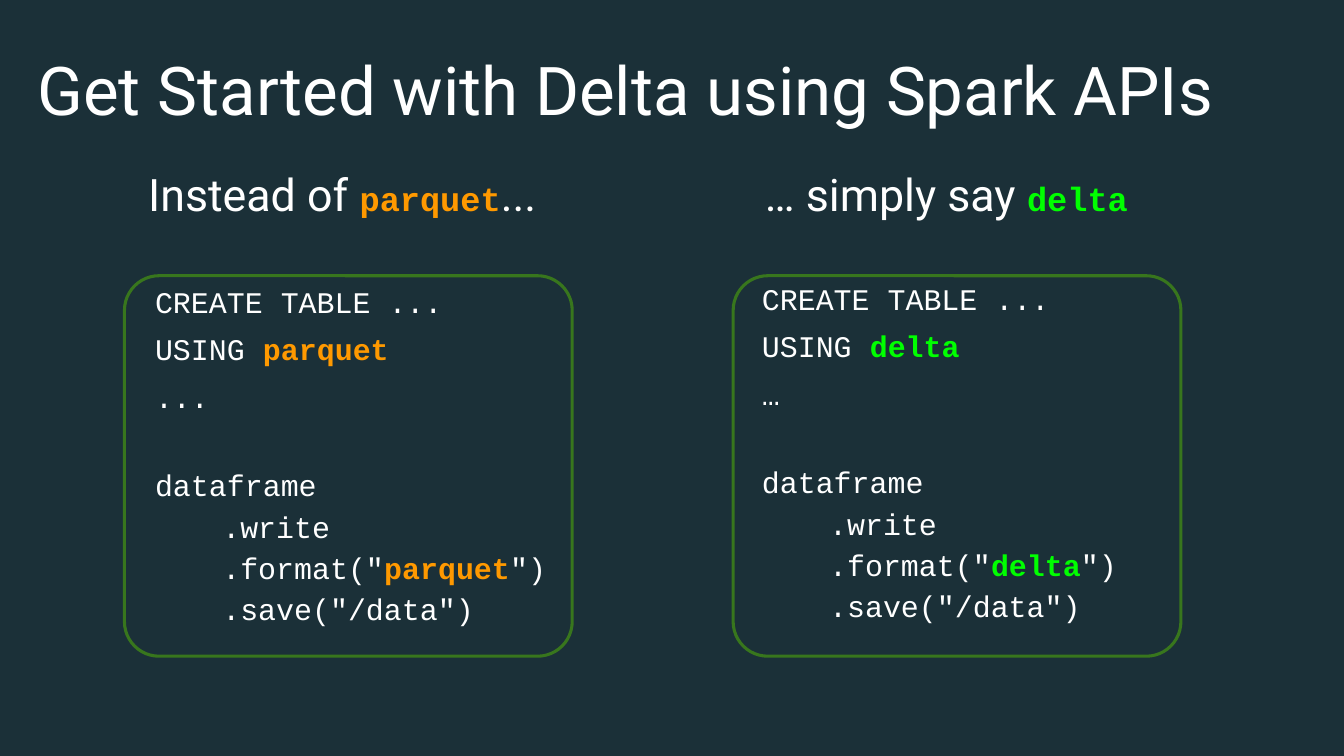
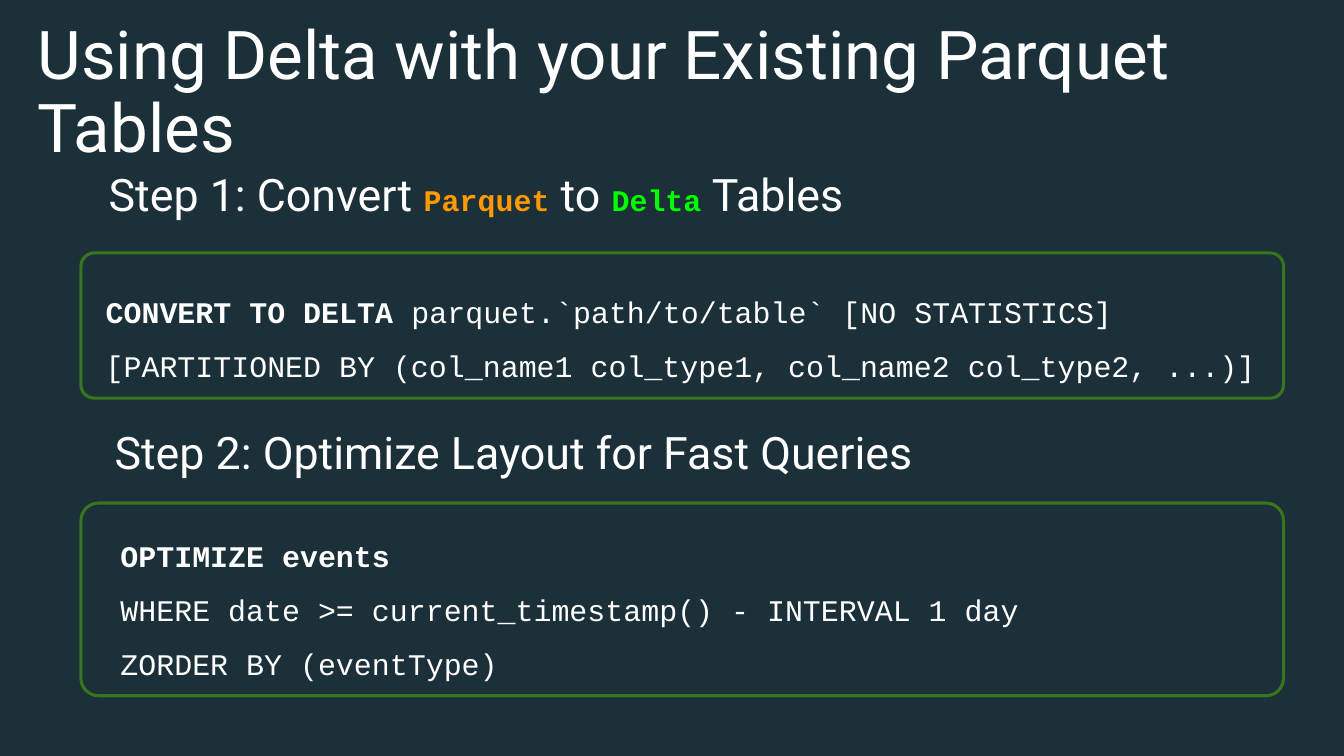
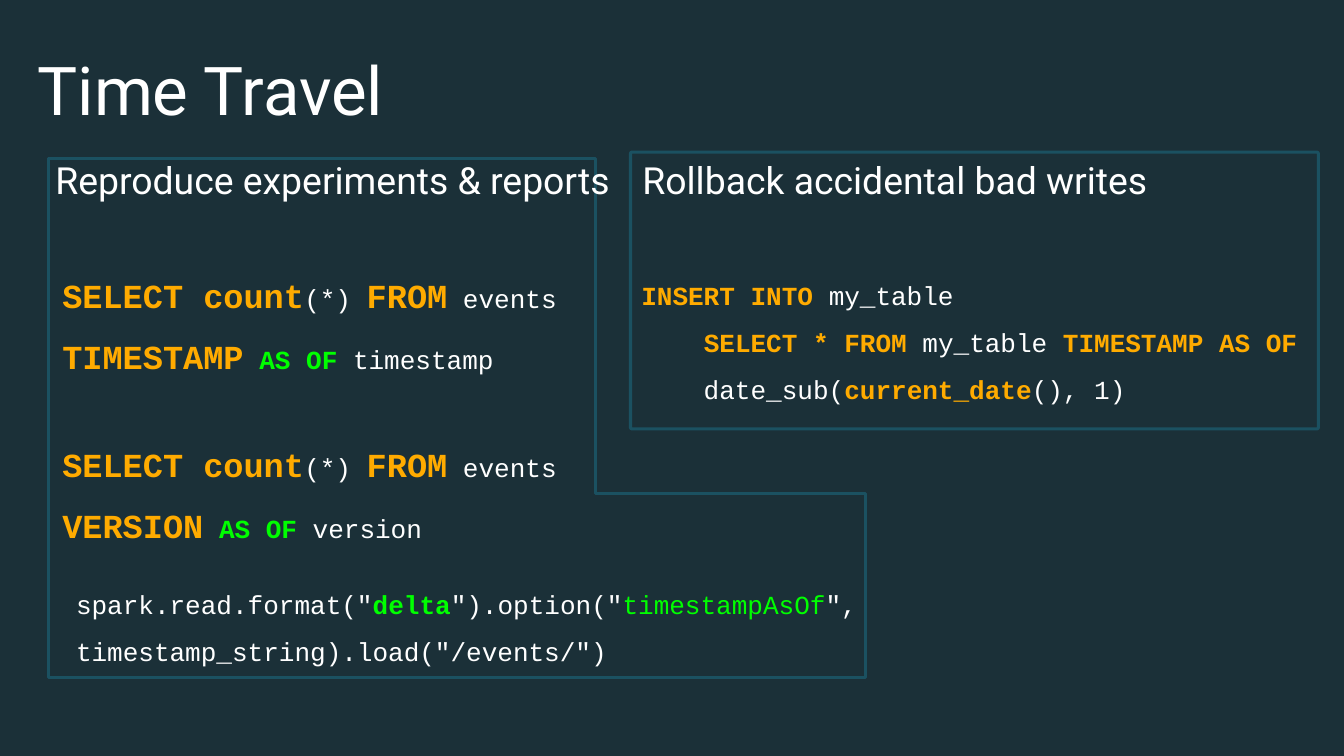
from dataclasses import dataclass

from pptx import Presentation
from pptx.dml.color import RGBColor
from pptx.enum.shapes import MSO_SHAPE
from pptx.enum.text import MSO_ANCHOR
from pptx.util import Pt

ROUND = MSO_SHAPE.ROUNDED_RECTANGLE
CORNER = MSO_SHAPE.CORNER
TOP = MSO_ANCHOR.TOP
MIDDLE = MSO_ANCHOR.MIDDLE


@dataclass(frozen=True)
class Theme:
    """Colours, fonts and type sizes of the deck."""

    back: str = "1B3038"
    white: str = "FFFFFF"
    orange: str = "FF9900"
    amber: str = "FFAB00"
    lime: str = "00FF00"
    green: str = "38761D"
    teal: str = "1B5161"
    sans: str = "Roboto"
    mono: str = "Courier New"
    title: float = 49
    head: float = 32.6
    label: float = 27.2
    big: float = 24.5
    code: float = 21.8
    small: float = 19
    rule: float = 2.25


T = Theme()


def run(text, color=T.white, bold=True, **fmt):
    """Return a run that differs from the base format of its box."""
    return text, dict(color=color, bold=bold, **fmt)


def line(*runs, **fmt):
    """Return one paragraph: its runs and its spacing format."""
    return runs, fmt


def put(slide, box, lines, anchor=TOP, gap=1.0, **base):
    """Place paragraphs in a box without margins."""
    frame = slide.shapes.add_textbox(*map(Pt, box)).text_frame
    frame.word_wrap = True
    frame.vertical_anchor = anchor
    frame.margin_left = frame.margin_right = 0
    frame.margin_top = frame.margin_bottom = 0
    for i, (runs, fmt) in enumerate(lines):
        para = frame.paragraphs[0] if i == 0 else frame.add_paragraph()
        para.line_spacing = fmt.get("gap", gap)
        para.space_before = Pt(fmt.get("before", 0))
        if "indent" in fmt:
            para._p.get_or_add_pPr().set("marL", str(Pt(fmt["indent"])))
        for item in runs:
            text, own = (item, {}) if isinstance(item, str) else item
            style = {"color": T.white, "bold": False, **base, **own}
            part = para.add_run()
            part.text = text
            part.font.name = style["font"]
            part.font.size = Pt(style["size"])
            part.font.bold = style["bold"]
            part.font.color.rgb = RGBColor.from_string(style["color"])


def outline(slide, box, color, kind, adjust):
    """Draw an unfilled frame."""
    shape = slide.shapes.add_shape(kind, *map(Pt, box))
    shape.shadow.inherit = False
    shape.fill.background()
    shape.line.color.rgb = RGBColor.from_string(color)
    shape.line.width = Pt(T.rule)
    for i, value in enumerate(adjust):
        shape.adjustments[i] = value


def panel(slide, box, head, code, shift, inset, size=T.code, gap=1.5,
          label=T.head, tight=1.0, color=T.green, kind=ROUND,
          adjust=(0.091,)):
    """Draw a frame with a heading and code, offset from its corner."""
    x, y, w, h = box
    outline(slide, box, color, kind, adjust)
    put(slide, (x + shift[0], y + shift[1], w, 40), [head], anchor=MIDDLE,
        gap=tight, font=T.sans, size=label)
    put(slide, (x + inset[0], y + inset[1], w, h - inset[1]), code,
        gap=gap, font=T.mono, size=size)


def start(deck, text):
    """Add a slide with its title."""
    slide = deck.slides.add_slide(deck.slide_layouts[6])
    put(slide, (27.4, 22.3, 925, 92.2), [line(text)], anchor=MIDDLE,
        gap=0.9, font=T.sans, size=T.title)
    return slide


def column(slide, x, head, word, dots, **place):
    """Show how a table and a dataframe use one format."""
    code = [
        line("CREATE TABLE ..."),
        line("USING ", word, before=10.9),
        line(dots, before=10.9),
        line("dataframe", gap=1.15, before=34.3),
    ]
    for runs in ([".write"], ['.format("', word, '")'], ['.save("/data")']):
        code.append(line(*runs, gap=1.15, indent=49))
    panel(slide, (x, 200.9, 326.2, 277.2), head, code, gap=0.9, **place)


def begin(deck):
    """Build the slide that compares two formats."""
    slide = start(deck, "Get Started with Delta using Spark APIs")
    column(slide, 90.7,
           line("Instead of ",
                run("parquet", T.orange, font=T.mono, size=T.big), "..."),
           run("parquet", T.orange), "...",
           shift=(17.3, -80.1), inset=(22.3, 8.6))
    column(slide, 534.2,
           line("… simply say ",
                run("delta", T.lime, font=T.mono, size=T.big)),
           run("delta", T.lime), "…",
           shift=(23.1, -80.1), inset=(20.9, 6.5))


def convert(deck):
    """Build the slide with two steps for existing tables."""
    slide = start(deck, "Using Delta with your Existing Parquet Tables")
    mono = {"font": T.mono, "size": T.code}
    panel(slide, (59, 184.3, 876.2, 105.8),
          line("Step 1: Convert ", run("Parquet", T.orange, **mono), " to ",
               run("Delta", T.lime, **mono), " Tables"),
          [line(run("CONVERT TO DELTA"),
                " parquet.`path/to/table` [NO STATISTICS]"),
           line("[PARTITIONED BY (col_name1 col_type1, "
                "col_name2 col_type2, ...)]")],
          shift=(20.2, -63.5), inset=(18, 16.6))
    panel(slide, (59, 366.5, 876.2, 140.4),
          line("Step 2: Optimize Layout for Fast Queries"),
          [line(run("OPTIMIZE events")),
           line("WHERE date >= current_timestamp() - INTERVAL 1 day"),
           line("ZORDER BY (eventType)")],
          shift=(24.5, -57.8), inset=(28.8, 12.2))


def query(word, value, **fmt):
    """Return the two lines of a query on an earlier state."""
    select, source, clause = (
        run(text, T.amber, size=T.big)
        for text in ("SELECT count", "FROM", word))
    return [line(select, "(*) ", source, " events", **fmt),
            line(clause, " ", run("AS OF ", T.lime), value)]


def travel(deck):
    """Build the slide on time travel."""
    slide = start(deck, "Time Travel")
    look = {"size": T.small, "label": T.label, "tight": 0.9,
            "color": T.teal}
    panel(slide, (459.4, 110.9, 501.1, 201.6),
          line("Rollback accidental bad writes"),
          [line(run("INSERT INTO ", T.amber), "my_table"),
           line("    ", run("SELECT * FROM ", T.amber), "my_table ",
                run("TIMESTAMP AS OF", T.amber)),
           line("    date_sub(", run("current_date", T.amber), "(), 1)")],
          shift=(8.6, 2.3), inset=(7.9, 81.3), adjust=(0.005,), **look)
    panel(slide, (35.3, 115.2, 595.4, 378.7),
          line("Reproduce experiments & reports"),
          query("TIMESTAMP", "timestamp")
          + query("VERSION", "version", before=35),
          shift=(5, -2), inset=(10.1, 70.6), kind=CORNER,
          adjust=(0.354, 1.053), **look)
    put(slide, (55.4, 417.6, 600, 72),
        [line('spark.read.format("', run("delta", T.lime), '").option("',
              run("timestampAsOf", T.lime, False), '",'),
         line('timestamp_string).load("/events/")')],
        gap=1.5, font=T.mono, size=T.small)


def main():
    """Build and save the deck."""
    deck = Presentation()
    deck.slide_width, deck.slide_height = Pt(979.2), Pt(550.8)
    fill = deck.slide_master.background.fill
    fill.solid()
    fill.fore_color.rgb = RGBColor.from_string(T.back)
    for build in (begin, convert, travel):
        build(deck)
    deck.save("out.pptx")


if __name__ == "__main__":
    main()
